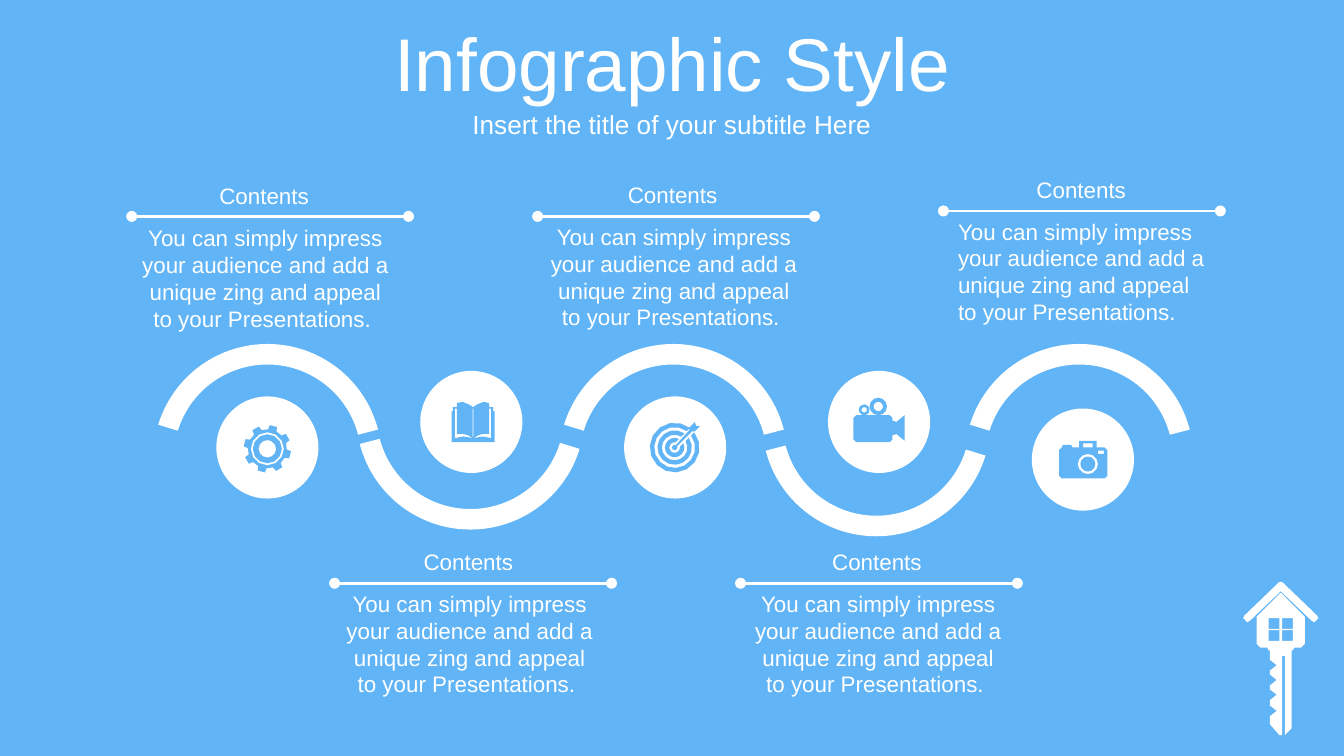
from math import asin, cos, degrees, radians, sin

from lxml import etree
from pptx import Presentation
from pptx import util as u
from pptx.dml.color import RGBColor
from pptx.enum import shapes, text
from pptx.oxml import ns

SKY = RGBColor(0x61, 0xB4, 0xF6)
WHITE = RGBColor(0xFF, 0xFF, 0xFF)
BODY = ("You can simply impress your audience and add a unique zing "
        "and appeal to your Presentations. ")
MID = text.PP_ALIGN.CENTER
LEFT = text.PP_ALIGN.LEFT


def arc(x, y, r, start=0, end=360, n=14):
    turns = [radians(start + (end - start) * i / n) for i in range(n + 1)]
    return [(x + r * cos(t), y + r * sin(t)) for t in turns]


def ring(x, y, r, n=12):
    return arc(x, y, r, n=n)[:-1]


def box(l, t, r, b):
    return [(l, t), (r, t), (r, b), (l, b)]


def flip(pts, x):
    return [(2 * x - px, py) for px, py in reversed(pts)]


def fold(pts, x):
    return pts + flip(pts, x)


def band(x, y, out, hole, gap):
    def part(r):
        side = degrees(asin(gap / r))
        return arc(x, y, r, side - 45, 315 - side)
    return part(out) + part(hole)[::-1]


class Deck:
    font = "Arial"

    def __init__(self):
        self.prs = Presentation()
        self.prs.slide_width = u.Inches(10)
        self.prs.slide_height = u.Inches(10) * 9 // 16
        self.cell = self.prs.slide_width // 1000
        self.slide = self.prs.slides.add_slide(self.prs.slide_layouts[6])
        fill = self.slide.background.fill
        fill.solid()
        fill.fore_color.rgb = SKY

    def grid(self, *cells):
        return [round(c * self.cell) for c in cells]

    def paint(self, shape, color):
        shape.shadow.inherit = False
        shape.fill.solid()
        shape.fill.fore_color.rgb = color
        shape.line.fill.background()

    def shape(self, kind, x, y, w, h, turn=0, adj=()):
        shape = self.slide.shapes.add_shape(kind, *self.grid(x, y, w, h))
        for i, value in enumerate(adj):
            shape.adjustments[i] = value
        shape.rotation = turn
        self.paint(shape, WHITE)

    def words(self, line, x, y, w, h, size=12, align=MID, grow=True):
        frame = self.slide.shapes.add_textbox(*self.grid(x, y, w, h)).text_frame
        frame.word_wrap = True
        if grow:
            frame.auto_size = text.MSO_AUTO_SIZE.SHAPE_TO_FIT_TEXT
        else:
            frame.vertical_anchor = text.MSO_ANCHOR.MIDDLE
        para = frame.paragraphs[0]
        para.alignment = align
        run = para.add_run()
        run.text = line
        run.font.name = self.font
        run.font.size = u.Pt(size)
        run.font.color.rgb = WHITE

    def rule(self, x, y, w):
        line = self.slide.shapes.add_connector(
            shapes.MSO_CONNECTOR.STRAIGHT, *self.grid(x, y, x + w, y))
        line.line.color.rgb = WHITE
        line.line.width = u.Pt(1.5)
        pen = line.line._get_or_add_ln()
        for end in ("a:headEnd", "a:tailEnd"):
            etree.SubElement(pen, ns.qn(end), type="oval")
        etree.SubElement(line._element.spPr, ns.qn("a:effectLst"))

    def icon(self, loops, color=SKY):
        loops = [[self.grid(*pt) for pt in loop] for loop in loops]
        pen = self.slide.shapes.build_freeform(*loops[0][0])
        for i, loop in enumerate(loops):
            if i:
                pen.move_to(*loop[0])
            pen.add_line_segments(loop[1:], close=True)
        self.paint(pen.convert_to_shape(), color)

    def save(self):
        self.prs.save("out.pptx")


def key():
    roof = [(954, 433), (980, 458), (981, 460), (978, 463), (976, 462), (953, 440)]
    house = [(953, 441), (971, 459), (971, 479), (968, 482), (963, 482), (962, 484)]
    shaft = [(945, 484), (961, 484), (961, 542), (956, 547), (956, 488),
             (954, 488), (954, 547), (952, 547), (945, 539)]
    for y in (533, 521, 510, 499):
        shaft += [(945, y), (950, y - 4), (945, y - 8)]
    panes = [box(x, y, x + 8, y + 8) for x in (944, 954) for y in (460, 469)]
    return [fold(roof, 953), fold(house, 953), shaft] + panes


def gear():
    x, y = 199, 334
    teeth = []
    for turn in range(15, 375, 45):
        for r, step in ((14.5, -13), (17.7, -9), (17.7, 9), (14.5, 13)):
            teeth += arc(x, y, r, turn + step, turn + step, 1)[:1]
    return [teeth] + [ring(x, y, r) for r in (12.3, 10.8, 6.5)]


def book():
    half = [(352, 303), (355, 301), (360, 299), (364, 300), (364, 303),
            (367, 303), (367, 306), (368, 306), (368, 329)]
    edge = [(352.3, 326), (356, 323.8), (360, 322.8), (364, 323), (364, 304),
            (365.5, 304), (365.5, 326), (359, 324.8)]
    return [fold(half, 352), edge, flip(edge, 352), box(351.7, 304, 352.3, 325)]


def goal():
    x, y = 502, 333
    dart = [(517, 314), (518, 317), (521, 317), (517, 321), (515, 321),
            (503.9, 332.1), (502.9, 331.1), (513, 320), (513, 318)]
    bands = [band(x, y, r, r - 3.3, 2.3) for r in (18.5, 12.8, 7.2)]
    return bands + [ring(x, y, 2, 8), dart]


def film():
    case = [(635, 311), (637, 309), (662, 309), (664, 311), (664, 327),
            (662, 329), (637, 329), (635, 327)]
    horn = [(664, 313), (667, 314), (673, 309), (673, 328), (667, 323), (664, 324)]
    reels = [ring(*reel) for reel in ((653.5, 302.5, 6.5), (653.5, 302.5, 3.5),
                                      (643, 305, 4), (643, 305, 2))]
    return [case, horn] + reels


def photo():
    case = [(788, 335), (790, 333), (791, 331), (797, 331), (798, 333),
            (803, 333), (803, 328), (816, 328), (816, 333), (822, 333),
            (824, 335), (824, 354), (822, 356), (790, 356), (788, 354)]
    return [case, box(806, 330, 813, 333), box(817, 335.3, 821.5, 337.7),
            ring(809.5, 345.3, 7.5), ring(809.5, 345.3, 5.6)]


def main():
    deck = Deck()
    deck.icon(key(), WHITE)
    deck.words("Infographic Style", 0, 14, 1000, 63, 40, grow=False)
    deck.words("Insert the title of your subtitle Here", 0, 77, 1000, 31, 14,
               grow=False)
    kind = shapes.MSO_SHAPE
    steps = [(162, 161, 295, 256, gear), (434, 434, 276, 224, book),
             (161, 161, 295, 256, goal), (434, 434, 276, 229, film),
             (157, 157, 304, 256, photo)]
    for i, (top, line, disc, bow, draw) in enumerate(steps):
        deck.shape(kind.OVAL, 161 + 151.7 * i, disc, 76, 76)
        deck.words(BODY, 95 + 152 * i, top, 205, 91,
                   align=LEFT if i == 4 else MID)
        deck.words("Contents", 94 + 152 * i, top - 31, 205, 30)
        deck.rule(98 + 151 * i, line, 206)
        deck.shape(kind.BLOCK_ARC, 114 + 151 * i, bow, 170, 170, i % 2 * 180,
                   (118.24, 207.3, 0.09))
        deck.icon(draw())
    deck.save()


if __name__ == "__main__":
    main()
